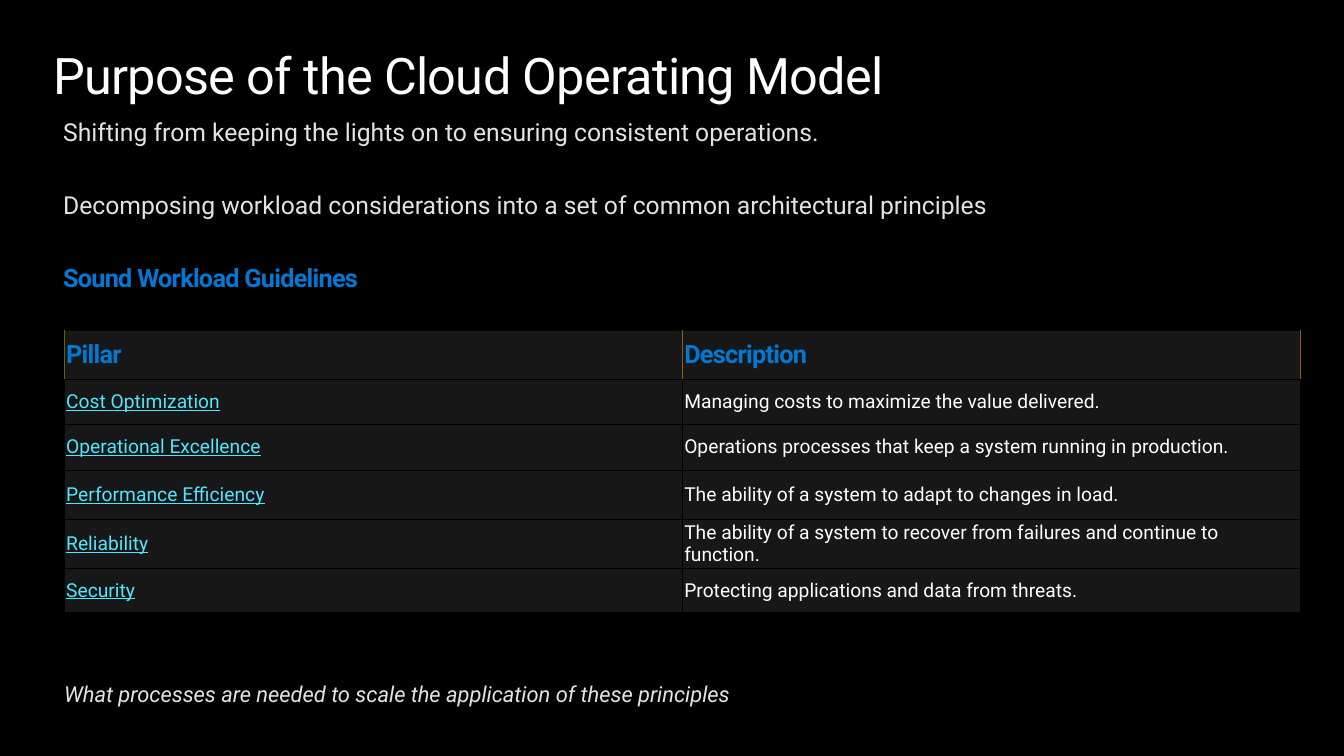
"""Builds the slide on the purpose of the cloud operating model."""
from lxml.etree import SubElement
from pptx import Presentation
from pptx.dml.color import RGBColor
from pptx.enum.text import MSO_ANCHOR as Anchor, MSO_AUTO_SIZE as AutoSize, PP_ALIGN as Align
from pptx.oxml.ns import qn
from pptx.util import Inches, Pt

FONT = "Roboto"
COLORS = {
    "background": "000000", "white": "FFFFFF", "body": "E3E3E3", "accent": "0078D4",
    "link": "50E6FF", "cell": "171717", "edge": "705E00", "divider": "905E00",
}
TITLE = "Purpose of the Cloud Operating Model"
HEADING = {"size": 18.4, "color": "accent", "bold": True, "spacing": -0.5}
LINES = [
    ("Shifting from keeping the lights on to ensuring consistent operations.",
     (0.54, 1.13, 10.55, 0.4), {"size": 18, "color": "body"}),
    ("Decomposing workload considerations into a set of common architectural principles",
     (0.54, 1.87, 12.51, 0.4), {"size": 18, "color": "body"}),
    ("Sound Workload Guidelines", (0.54, 2.6, 6.8, 0.41), HEADING),
    ("What processes are needed to scale the application of these principles",
     (0.55, 6.84, 9.23, 0.37), {"size": 16, "color": "body", "italic": True}),
]
PILLARS = [
    ("Pillar", "Description"),
    ("Cost Optimization", "Managing costs to maximize the value delivered."),
    ("Operational Excellence", "Operations processes that keep a system running in production."),
    ("Performance Efficiency", "The ability of a system to adapt to changes in load."),
    ("Reliability", "The ability of a system to recover from failures and continue to function."),
    ("Security", "Protecting applications and data from threats."),
]
CELL_STYLES = [
    {"size": 14, "color": "link", "underline": True},
    {"size": 14, "color": "white"},
]
ROW_HEIGHTS = [0.5, 0.45, 0.47, 0.5, 0.49, 0.45]
TABLE_LEFT, TABLE_TOP, TABLE_WIDTH = 0.65, 3.34, 12.51


def add_text(paragraph, text, size, color, bold=False, italic=False, underline=False, spacing=0):
    run = paragraph.add_run()
    run.text = text
    font = run.font
    font.name, font.size = FONT, Pt(size)
    font.bold, font.italic, font.underline = bold, italic, underline
    font.color.rgb = RGBColor.from_string(COLORS[color])
    run._r.get_or_add_rPr().set("spc", str(round(spacing * 100)))


def set_borders(cell, borders):
    properties = cell._tc.get_or_add_tcPr()
    for position, (side, (color, width)) in enumerate(borders.items()):
        line = SubElement(properties, qn(f"a:ln{side}"), w=str(Pt(width)))
        fill = SubElement(line, qn("a:solidFill"))
        SubElement(fill, qn("a:srgbClr"), val=COLORS[color])
        properties.insert(position, line)


def add_title(slide):
    title = slide.shapes.title
    title.left, title.top, title.width, title.height = map(Inches, (0.54, 0.45, 12.29, 0.62))
    frame = title.text_frame
    frame.margin_left = frame.margin_right = frame.margin_top = frame.margin_bottom = 0
    frame.word_wrap = True
    frame.auto_size = AutoSize.SHAPE_TO_FIT_TEXT
    frame.vertical_anchor = Anchor.TOP
    paragraph = frame.paragraphs[0]
    paragraph.alignment = Align.LEFT
    add_text(paragraph, TITLE, 36.7, "white", spacing=-0.5)


def add_line(slide, text, box, style):
    frame = slide.shapes.add_textbox(*map(Inches, box)).text_frame
    frame.word_wrap = True
    frame.auto_size = AutoSize.SHAPE_TO_FIT_TEXT
    add_text(frame.paragraphs[0], text, **style)


def add_pillar_table(slide):
    column_count = len(PILLARS[0])
    table = slide.shapes.add_table(
        len(PILLARS), column_count, Inches(TABLE_LEFT), Inches(TABLE_TOP),
        Inches(TABLE_WIDTH), Inches(sum(ROW_HEIGHTS))).table
    table.horz_banding = False
    for column in table.columns:
        column.width = Inches(TABLE_WIDTH / column_count)
    for row_index, (texts, height) in enumerate(zip(PILLARS, ROW_HEIGHTS)):
        table.rows[row_index].height = Inches(height)
        for column_index, text in enumerate(texts):
            cell = table.cell(row_index, column_index)
            cell.fill.solid()
            cell.fill.fore_color.rgb = RGBColor.from_string(COLORS["cell"])
            cell.vertical_anchor = Anchor.MIDDLE
            cell.margin_left = cell.margin_right = Inches(0.02)
            cell.margin_top = cell.margin_bottom = Inches(0.01)
            borders = {side: ("background", 0.75) for side in "LRTB"}
            style = CELL_STYLES[column_index]
            if row_index == 0:
                style = HEADING
                borders["L"] = ("divider" if column_index else "edge", 1)
                borders["R"] = ("divider", 1)
            set_borders(cell, borders)
            add_text(cell.text_frame.paragraphs[0], text, **style)


def main():
    presentation = Presentation()
    presentation.slide_width, presentation.slide_height = Inches(13.6), Inches(7.65)
    slide = presentation.slides.add_slide(presentation.slide_layouts[5])
    background = slide.background.fill
    background.solid()
    background.fore_color.rgb = RGBColor.from_string(COLORS["background"])
    add_title(slide)
    add_pillar_table(slide)
    for text, box, style in LINES:
        add_line(slide, text, box, style)
    presentation.save("out.pptx")


if __name__ == "__main__":
    main()
